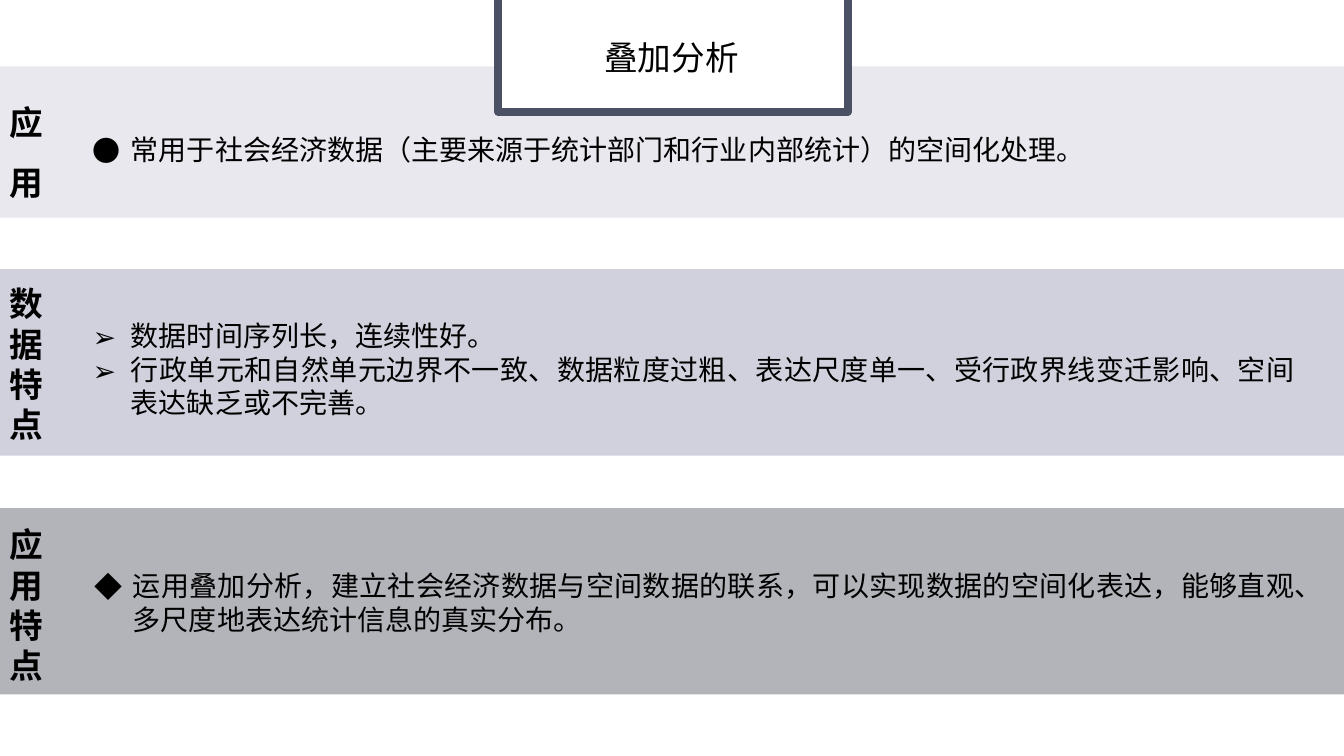
from dataclasses import dataclass
from lxml.etree import SubElement
from pptx import Presentation
from pptx.dml.color import RGBColor
from pptx.enum.shapes import MSO_SHAPE
from pptx.enum.text import MSO_ANCHOR, PP_ALIGN
from pptx.oxml.ns import qn
from pptx.util import Inches, Pt

TITLE = "叠加分析"
SECTIONS = [
    {
        "label": "应用", "label_at": (0.82, 1.18), "label_spacing": 1.5,
        "band": (-0.34, 0.66, 14.33, 1.5), "color": "E6E6ED", "opacity": 90,
        "bullet": "●", "body": (0.82, 1.27, 11.64, 0.44),
        "lines": ["常用于社会经济数据（主要来源于统计部门和行业内部统计）的空间化处理。"],
    },
    {
        "label": "数据特点", "label_at": (2.96, 1.3), "label_spacing": 1.0,
        "band": (-0.49, 2.67, 14.33, 1.85), "color": "CCCCDA", "opacity": 90,
        "bullet": "➢", "body": (0.82, 3.11, 12.12, 1.11),
        "lines": [
            "数据时间序列长，连续性好。",
            "行政单元和自然单元边界不一致、数据粒度过粗、表达尺度单一、受行政界线变迁影响、空间表达缺乏或不完善。",
        ],
    },
    {
        "label": "应用特点", "label_at": (5.35, 1.3), "label_spacing": 1.0,
        "band": (-0.45, 5.04, 14.33, 1.85), "color": "9A9BA3", "opacity": 75,
        "bullet": "◆", "body": (0.84, 5.59, 12.1, 0.77),
        "lines": ["运用叠加分析，建立社会经济数据与空间数据的联系，可以实现数据的空间化表达，能够直观、多尺度地表达统计信息的真实分布。"],
    },
]


@dataclass(frozen=True)
class Theme:
    font: str = "Noto Sans CJK SC"
    text: str = "000000"
    paper: str = "FFFFFF"
    frame: str = "4B5064"
    frame_width: float = 5.5
    heading_size: int = 24
    body_size: int = 20


THEME = Theme()
LABEL_LEFT, LABEL_WIDTH = -0.01, 0.55
INDENT = Inches(0.38)


def add_rectangle(page, at, color, opacity=100):
    shape = page.shapes.add_shape(MSO_SHAPE.RECTANGLE, *map(Inches, at))
    shape.shadow.inherit = False
    shape.fill.solid()
    shape.fill.fore_color.rgb = RGBColor.from_string(color)
    shape.line.fill.background()
    if opacity < 100:
        tint = shape.fill._xPr.find(qn("a:solidFill"))[0]
        SubElement(tint, qn("a:alpha"), val=str(opacity * 1000))
    return shape


def add_text(page, at, lines, size, align, anchor, bold=False, spacing=1.0, bullet=None):
    box = page.shapes.add_textbox(*map(Inches, at))
    frame = box.text_frame
    frame.word_wrap = True
    frame.vertical_anchor = anchor
    for index, line in enumerate(lines):
        para = frame.add_paragraph() if index else frame.paragraphs[0]
        para.alignment = align
        para.line_spacing = spacing
        if bullet:
            properties = para._p.get_or_add_pPr()
            properties.set("marL", str(INDENT))
            properties.set("indent", str(-INDENT))
            SubElement(properties, qn("a:buFont"), typeface=THEME.font)
            SubElement(properties, qn("a:buChar"), char=bullet)
        span = para.add_run()
        span.text = line
        span.font.name = THEME.font
        span.font.size = Pt(size)
        span.font.bold = bold
        span.font.color.rgb = RGBColor.from_string(THEME.text)
        SubElement(span.font._element, qn("a:ea"), typeface=THEME.font)


def add_title(page):
    frame = add_rectangle(page, (4.94, -0.6, 3.47, 1.71), THEME.paper)
    frame.line.color.rgb = RGBColor.from_string(THEME.frame)
    frame.line.width = Pt(THEME.frame_width)
    add_text(page, (5.05, 0.25, 3.22, 0.69), [TITLE], THEME.heading_size,
             PP_ALIGN.CENTER, MSO_ANCHOR.MIDDLE, spacing=0.9)


def add_section(page, section):
    top, height = section["label_at"]
    add_text(page, (LABEL_LEFT, top, LABEL_WIDTH, height), [section["label"]],
             THEME.heading_size, PP_ALIGN.CENTER, MSO_ANCHOR.MIDDLE,
             bold=True, spacing=section["label_spacing"])
    add_text(page, section["body"], section["lines"], THEME.body_size,
             PP_ALIGN.JUSTIFY, MSO_ANCHOR.TOP, bullet=section["bullet"])


def main():
    deck = Presentation()
    deck.slide_width, deck.slide_height = Inches(13.33), Inches(7.5)
    page = deck.slides.add_slide(deck.slide_layouts[6])
    for section in SECTIONS:
        add_rectangle(page, section["band"], section["color"], section["opacity"])
    add_title(page)
    for section in SECTIONS:
        add_section(page, section)
    deck.save("out.pptx")


if __name__ == "__main__":
    main()
